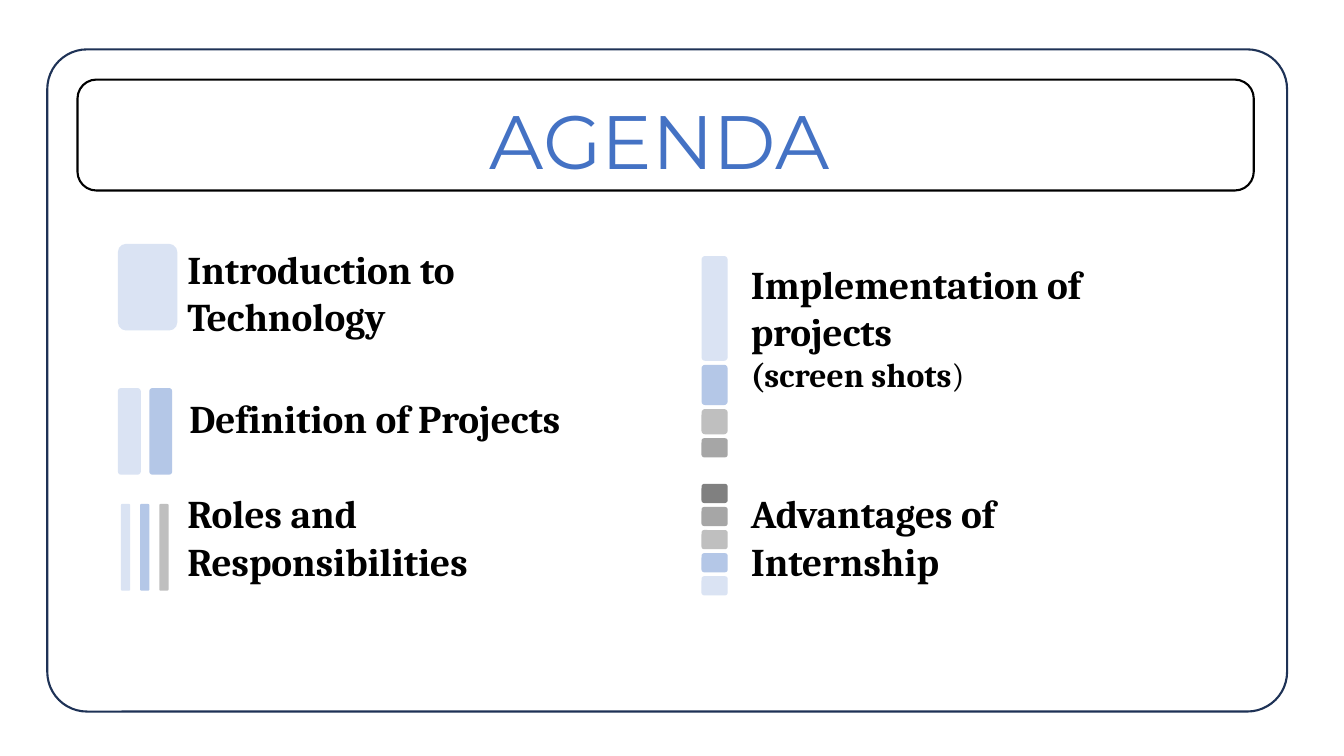
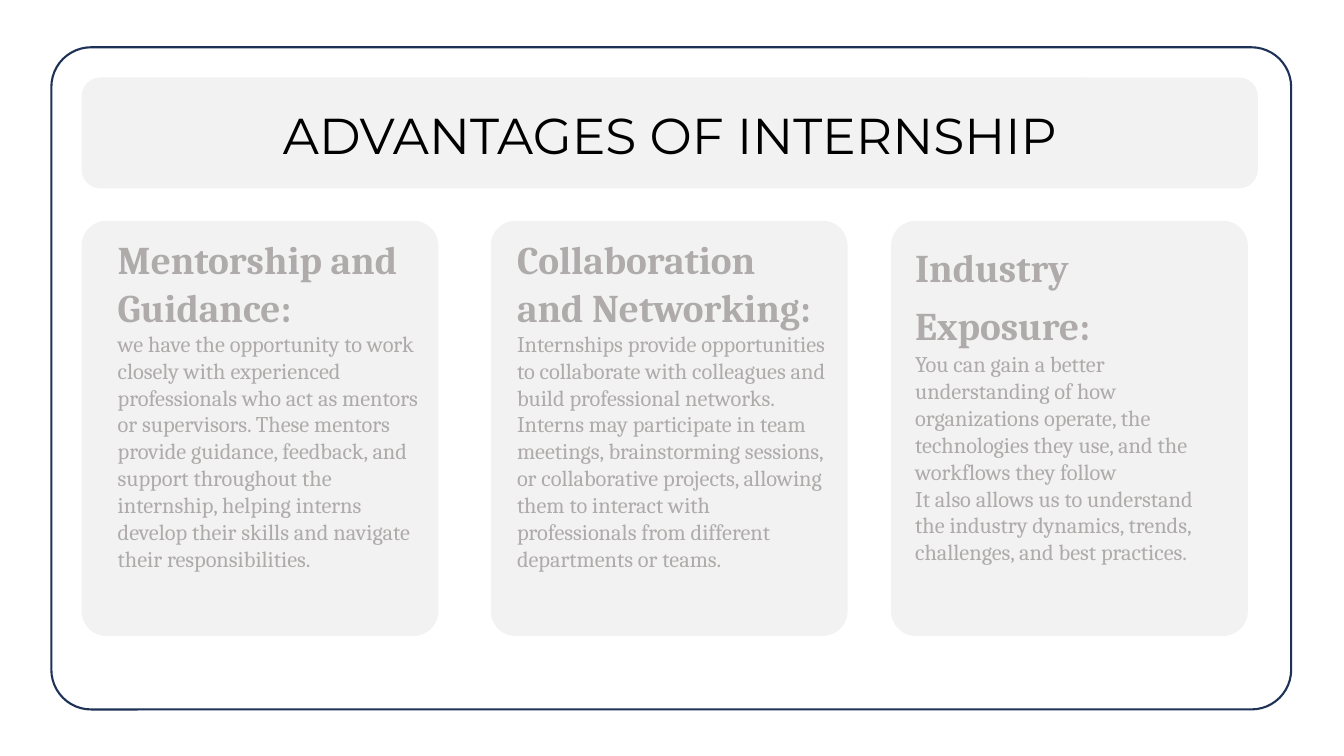
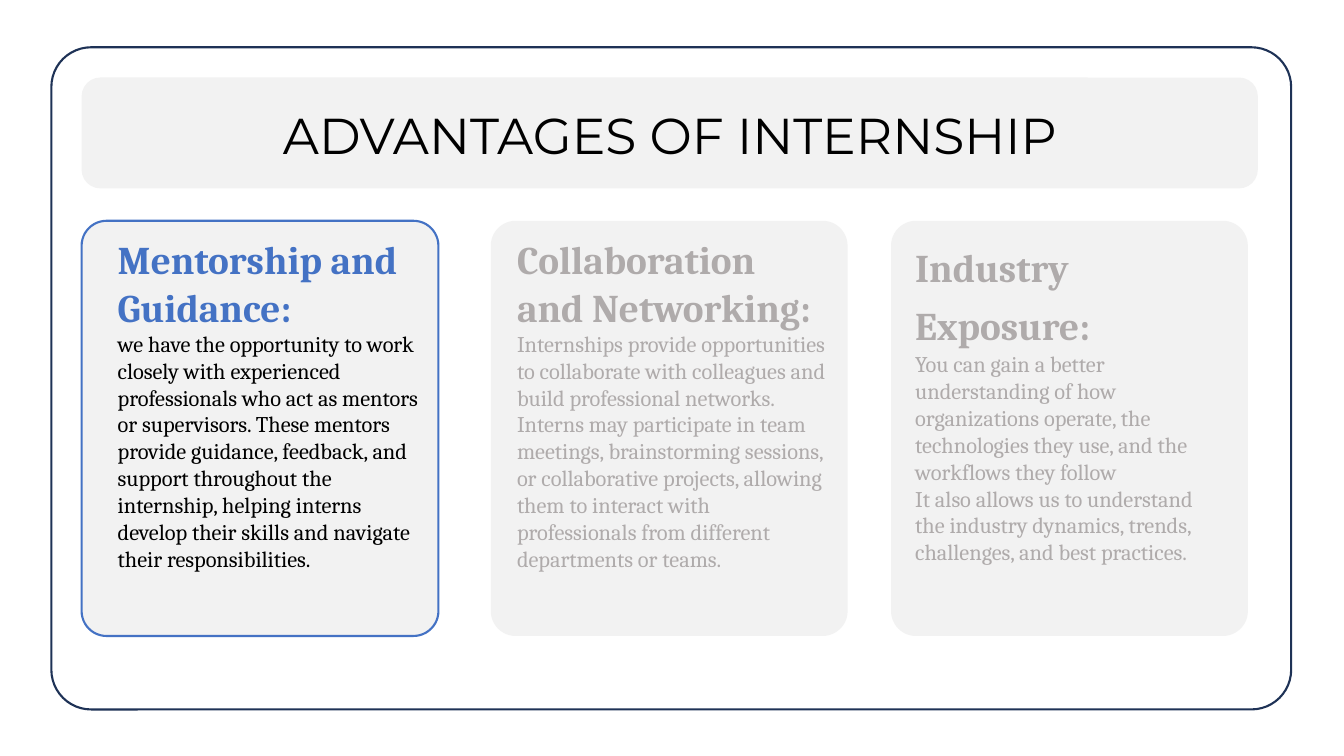
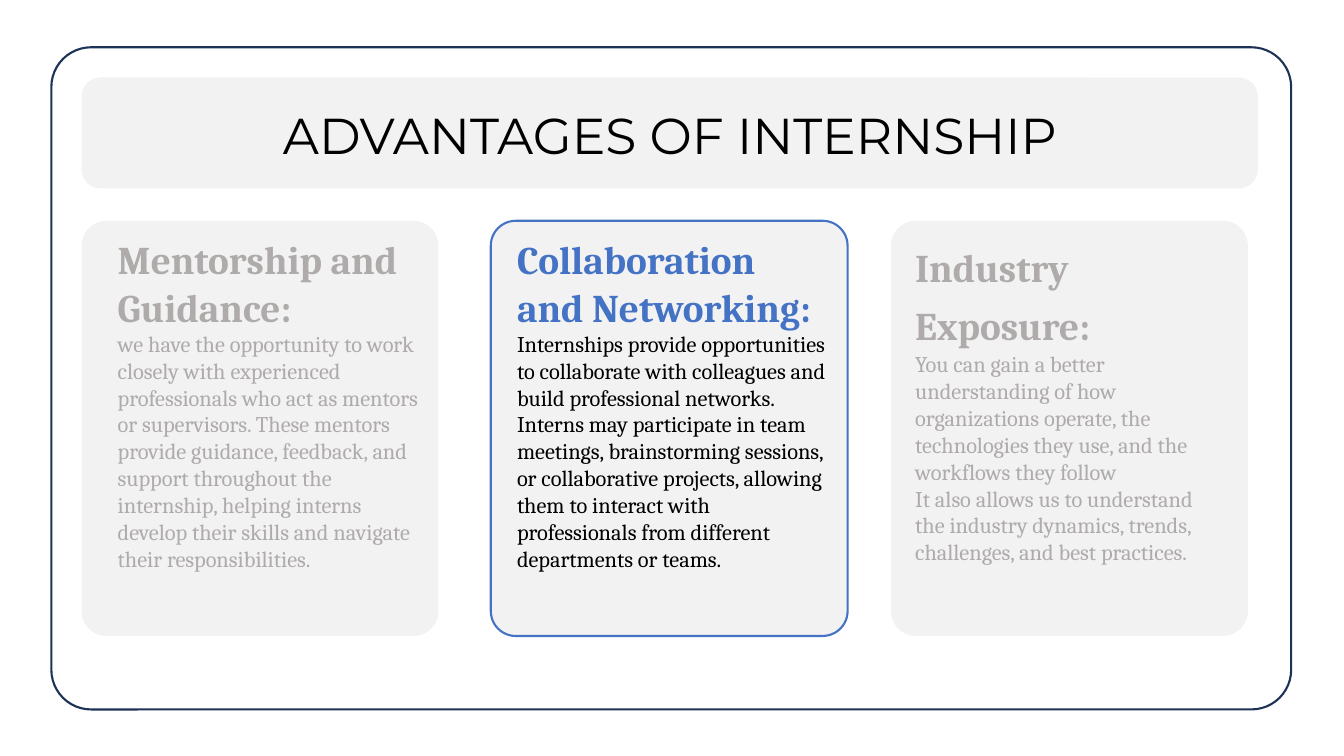
import pptx
import pptx.dml.color
import pptx.enum.shapes
import pptx.enum.text
import pptx.util

Pt = pptx.util.Pt
RGBColor = pptx.dml.color.RGBColor

COLORS = {
    "navy": "1E3256",
    "blue": "4472C4",
    "light blue": "B4C7E7",
    "pale blue": "DAE3F3",
    "black": "000000",
    "dark grey": "808080",
    "grey": "A6A6A6",
    "light grey": "BFBFBF",
    "pale grey": "F2F2F2",
    "faded": "AFABAB",
}
TITLE_FONT = "Montserrat"
BODY_FONT = "Cambria"


def add_box(slide, left, top, width, height, radius, fill=None, line=None):
    """Add a rounded rectangle; without a fill or line colour it has none."""
    shape = slide.shapes.add_shape(
        pptx.enum.shapes.MSO_SHAPE.ROUNDED_RECTANGLE,
        Pt(left), Pt(top), Pt(width), Pt(height))
    shape.adjustments[0] = radius
    shape.shadow.inherit = False
    if fill:
        shape.fill.solid()
        shape.fill.fore_color.rgb = RGBColor.from_string(COLORS[fill])
    else:
        shape.fill.background()
    if line:
        shape.line.color.rgb = RGBColor.from_string(COLORS[line])
        shape.line.width = Pt(1.5)
    else:
        shape.line.fill.background()


def add_text(slide, left, top, width, height, lines):
    """Add a text box; each line is (text, size, bold, colour). Return its paragraphs."""
    frame = slide.shapes.add_textbox(Pt(left), Pt(top), Pt(width), Pt(height)).text_frame
    frame.word_wrap = True
    for index, (text, size, bold, color) in enumerate(lines):
        paragraph = frame.add_paragraph() if index else frame.paragraphs[0]
        paragraph.add_run().text = text
        paragraph.font.name = BODY_FONT
        paragraph.font.size = Pt(size)
        paragraph.font.bold = bold
        paragraph.font.color.rgb = RGBColor.from_string(COLORS[color])
    return frame.paragraphs


presentation = pptx.Presentation()
presentation.slide_width = Pt(960)
presentation.slide_height = Pt(540)

# Frame, banner and title of every slide
AGENDA = dict(title="AGENDA", size=54, color="blue", frame=(33.8, 35.3),
              title_at=(68.4, 63.4), title_height=72.7, fill=None, line="black")
ADVANTAGES = dict(title="ADVANTAGES OF INTERNSHIP", size=36, color="black", frame=(36.7, 33.8),
                  title_at=(75.6, 70.6), title_height=51.1, fill="pale grey", line=None)

slides = []
for style in [AGENDA] + [ADVANTAGES] * 3:
    slide = presentation.slides.add_slide(presentation.slide_layouts[5])
    left, top = style["frame"]
    add_box(slide, left, top, 885.6, 473, 0.06, line="navy")
    add_box(slide, left + 21.6, top + 21.6, 840.2, 79.2, 0.17, style["fill"], style["line"])

    title = slide.shapes.title
    title.left, title.top = (Pt(length) for length in style["title_at"])
    title.width, title.height = Pt(805.7), Pt(style["title_height"])
    title.text_frame.text = style["title"]
    title.text_frame.word_wrap = True
    title.text_frame.auto_size = pptx.enum.text.MSO_AUTO_SIZE.NONE
    title.text_frame.vertical_anchor = pptx.enum.text.MSO_ANCHOR.TOP
    paragraph = title.text_frame.paragraphs[0]
    paragraph.alignment = pptx.enum.text.PP_ALIGN.CENTER
    paragraph.font.name = TITLE_FONT
    paragraph.font.size = Pt(style["size"])
    paragraph.font.color.rgb = RGBColor.from_string(COLORS[style["color"]])
    title.element.getparent().append(title.element)  # bring in front of the banner
    slides.append(slide)

# Agenda: topics
agenda = slides[0]
topics = [
    ("Introduction to Technology", 126.7, 171.4, 270, 74.9),
    ("Definition of Projects", 128.2, 277.9, 290.9, 41),
    ("Roles and Responsibilities", 126.7, 346.3, 290.9, 74.9),
    ("Advantages of Internship", 529.2, 346.3, 290.9, 74.9),
]
for text, *place in topics:
    add_text(agenda, *place, [(text, 28, True, "black")])
paragraphs = add_text(agenda, 529.2, 182.2, 250.6, 104.4, [
    ("Implementation of projects", 28, True, "black"),
    ("(screen shots", 24, True, "black"),
])
closing_bracket = paragraphs[1].add_run()
closing_bracket.text = ")"
closing_bracket.font.bold = False

# Agenda: upright bars, as (left, top, width, step, colours)
bar_rows = [
    (84.2, 174.2, 42.5, 0, ["pale blue"]),
    (84.2, 277.2, 16.4, 22.4, ["pale blue", "light blue"]),
    (86.4, 360, 6.6, 13.7, ["pale blue", "light blue", "light grey"]),
]
for left, top, width, step, colors in bar_rows:
    for index, color in enumerate(colors):
        add_box(agenda, left + index * step, top, width, 61.9, 0.14, color)

# Agenda: stacked blocks, as (top, [(height, colour)])
BLOCK_GAP = 2.8
block_stacks = [
    (182.9, [(74.9, "pale blue"), (28.8, "light blue"), (18, "light grey"), (13.7, "grey")]),
    (345.6, [(13.7, color) for color in
             ["dark grey", "grey", "light grey", "light blue", "pale blue"]]),
]
for top, blocks in block_stacks:
    for height, color in blocks:
        add_box(agenda, 501.1, top, 18.7, height, 0.14, color)
        top += height + BLOCK_GAP

# Advantages: three cards, one of them highlighted on the later slides
cards = [
    dict(left=58.3, text_at=(77, 164.9, 236.2, 273.6), heading="Mentorship and Guidance:",
         body=["we have the opportunity to work closely with experienced professionals who act "
               "as mentors or supervisors. These mentors provide guidance, feedback, and support "
               "throughout the internship, helping interns develop their skills and navigate "
               "their responsibilities."]),
    dict(left=350.6, text_at=(362.2, 164.9, 236.2, 269.3),
         heading="Collaboration and Networking:",
         body=["Internships provide opportunities to collaborate with colleagues and build "
               "professional networks. Interns may participate in team meetings, brainstorming "
               "sessions, or collaborative projects, allowing them to interact with "
               "professionals from different departments or teams."]),
    dict(left=636.5, text_at=(646.6, 169.9, 215.3, 259.2), heading="Industry Exposure:",
         body=["You can gain a better understanding of how organizations operate, the "
               "technologies they use, and the workflows they follow",
               "It also allows us to understand the industry dynamics, trends, challenges, "
               "and best practices."]),
]
for slide, highlighted in zip(slides[1:], [None, 0, 1]):
    for index, card in enumerate(cards):
        active = index == highlighted
        add_box(slide, card["left"], 157.7, 254.9, 296.6, 0.07, "pale grey",
                "blue" if active else None)
        lines = [(card["heading"], 28, True, "blue" if active else "faded")]
        lines += [(text, 16, False, "black" if active else "faded") for text in card["body"]]
        paragraphs = add_text(slide, *card["text_at"], lines)
        if card["heading"] == "Industry Exposure:":
            tall_space = paragraphs[0].add_run()  # opens up the heading's second line
            tall_space.text = " "
            tall_space.font.size = Pt(36)

presentation.save("out.pptx")
